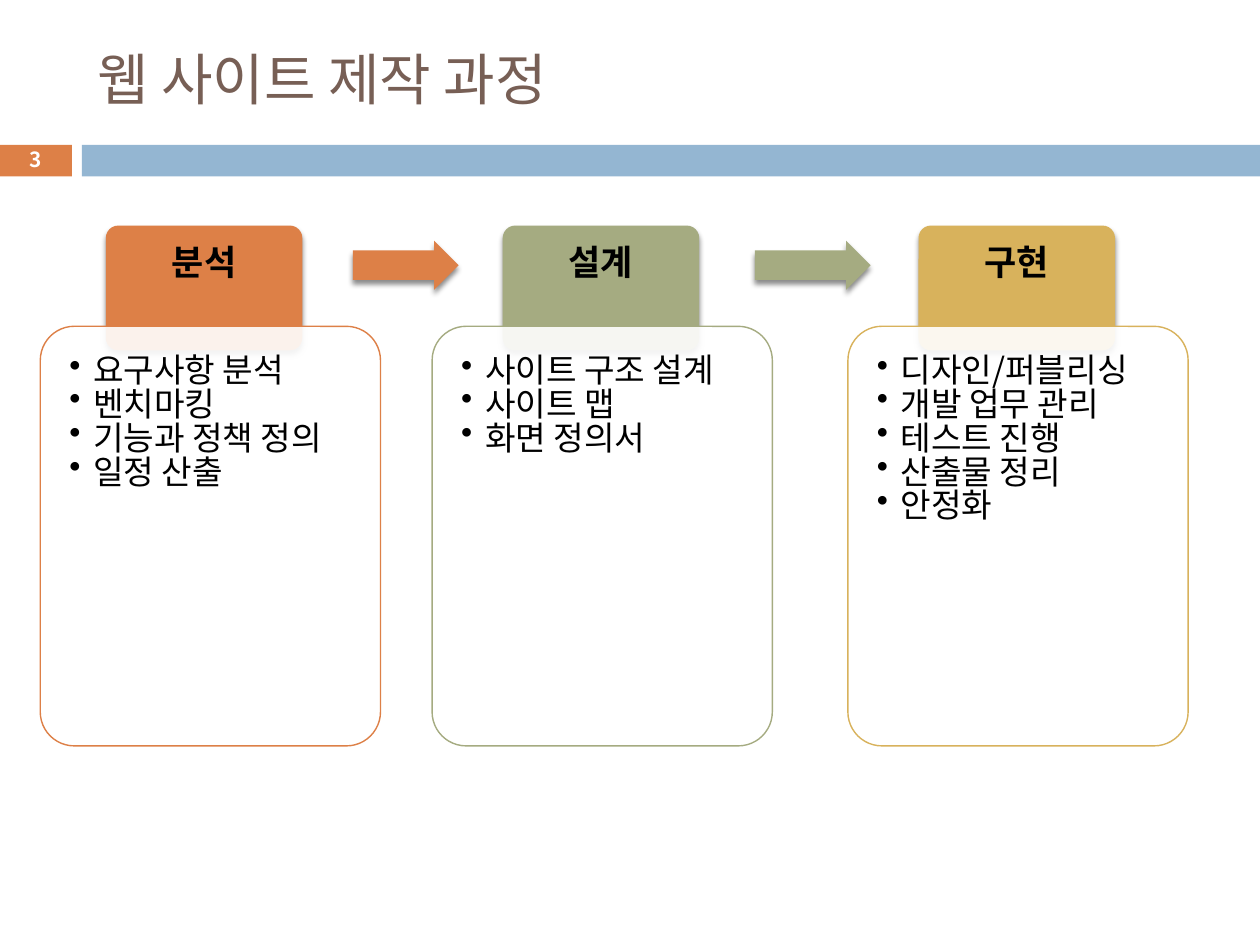
from lxml.etree import SubElement
from pptx import Presentation
from pptx.dml.color import RGBColor
from pptx.enum.shapes import MSO_SHAPE
from pptx.enum.text import MSO_ANCHOR, PP_ALIGN
from pptx.oxml.ns import qn
from pptx.util import Inches, Pt

FONT = "Noto Sans CJK KR"
ORANGE = RGBColor(0xDD, 0x80, 0x47)
GREEN = RGBColor(0xA5, 0xAB, 0x81)
GOLD = RGBColor(0xD8, 0xB2, 0x5C)
BLUE = RGBColor(0x94, 0xB6, 0xD2)
BROWN = RGBColor(0x77, 0x5F, 0x55)
WHITE = RGBColor(0xFF, 0xFF, 0xFF)
BLACK = RGBColor(0, 0, 0)

# Each stage: heading, colour, left edge of its card, tasks
STAGES = [
    ("분석", ORANGE, 0.32, ["요구사항 분석", "벤치마킹", "기능과 정책 정의", "일정 산출"]),
    ("설계", GREEN, 3.43, ["사이트 구조 설계", "사이트 맵", "화면 정의서"]),
    ("구현", GOLD, 6.73, ["디자인/퍼블리싱", "개발 업무 관리", "테스트 진행",
                        "산출물 정리", "안정화"]),
]
# Each arrow: left edge, width, colour
ARROWS = [(2.8, 0.84, ORANGE), (5.99, 0.92, GREEN)]


class SlideBuilder:
    def __init__(self, slide, font):
        self.slide = slide
        self.font = font

    def format_text(self, text_frame, size, color, bold=False, align=PP_ALIGN.LEFT,
                    line_spacing=1.0):
        text_frame.word_wrap = True
        for paragraph in text_frame.paragraphs:
            paragraph.alignment = align
            paragraph.line_spacing = line_spacing
            for run in paragraph.runs:
                run.font.size = Pt(size)
                run.font.bold = bold
                run.font.color.rgb = color
                run.font.name = self.font
                east_asian = SubElement(run._r.get_or_add_rPr(), qn("a:ea"))
                east_asian.set("typeface", self.font)

    def title(self, text, left, top, width, height):
        title = self.slide.shapes.title
        title.left, title.top = Inches(left), Inches(top)
        title.width, title.height = Inches(width), Inches(height)
        title.text_frame.text = text
        title.text_frame.vertical_anchor = MSO_ANCHOR.MIDDLE
        self.format_text(title.text_frame, 32, BROWN)

    def shape(self, kind, left, top, width, height, fill, line=None, shadow=False,
              adjustments=()):
        shape = self.slide.shapes.add_shape(
            kind, Inches(left), Inches(top), Inches(width), Inches(height))
        for index, value in enumerate(adjustments):
            shape.adjustments[index] = value
        shape.fill.solid()
        shape.fill.fore_color.rgb = fill
        if line is None:
            shape.line.fill.background()
        else:
            shape.line.color.rgb = line
            shape.line.width = Pt(0.79)
        shape.shadow.inherit = False
        if shadow:
            self.add_shadow(shape)
        return shape

    def add_shadow(self, shape):
        effects = shape._element.spPr.find(qn("a:effectLst"))
        outer = SubElement(effects, qn("a:outerShdw"), blurRad=str(Pt(3)),
                           dist=str(Pt(2.4)), dir="5400000", rotWithShape="0")
        color = SubElement(outer, qn("a:srgbClr"), val="000000")
        SubElement(color, qn("a:alpha"), val="45000")

    def set_opacity(self, shape, percent):
        color = shape._element.spPr.find(qn("a:solidFill"))[0]
        SubElement(color, qn("a:alpha"), val=str(percent * 1000))

    def text_box(self, lines, left, top, width, height, insets):
        box = self.slide.shapes.add_textbox(
            Inches(left), Inches(top), Inches(width), Inches(height))
        text_frame = box.text_frame
        text_frame.text = "\n".join(lines)
        (text_frame.margin_left, text_frame.margin_top,
         text_frame.margin_right, text_frame.margin_bottom) = map(Inches, insets)
        return text_frame

    def bullets(self, text_frame, indent):
        for paragraph in text_frame.paragraphs:
            properties = paragraph._p.get_or_add_pPr()
            properties.set("marL", str(Inches(indent)))
            properties.set("indent", str(-Inches(indent)))
            SubElement(properties, qn("a:buChar"), char="•")

    def stage(self, heading, color, left, tasks):
        # Coloured tab with its heading
        tab_left = left + 0.56 if left > 0.5 else left + 0.52
        self.shape(MSO_SHAPE.ROUNDED_RECTANGLE, tab_left, 1.79, 1.56, 0.99, color,
                   shadow=True, adjustments=[0.1])
        text_frame = self.text_box([heading], tab_left, 1.79, 1.56, 0.63,
                                   (0.16, 0.16, 0.16, 0.08))
        self.format_text(text_frame, 20, BLACK, True, PP_ALIGN.CENTER, 0.9)

        # Translucent card with the tasks
        card = self.shape(MSO_SHAPE.ROUNDED_RECTANGLE, left, 2.59, 2.7, 3.33, WHITE,
                          line=color, adjustments=[0.1])
        self.set_opacity(card, 90)
        text_frame = self.text_box(tasks, left + 0.08, 2.67, 2.55, 3.17, [0.15] * 4)
        self.format_text(text_frame, 19, BLACK, line_spacing=0.85)
        self.bullets(text_frame, 0.19)

    def arrow(self, left, width, color):
        self.shape(MSO_SHAPE.RIGHT_ARROW, left, 1.91, width, 0.39, color,
                   shadow=True, adjustments=[0.6, 0.5])


def main():
    presentation = Presentation()
    presentation.slide_width, presentation.slide_height = Inches(10), Inches(7.5)
    slide = presentation.slides.add_slide(presentation.slide_layouts[5])
    builder = SlideBuilder(slide, FONT)

    # Header: title, band and page number
    builder.title("웹 사이트 제작 과정", 0.67, 0.25, 8.92, 0.74)
    builder.shape(MSO_SHAPE.RECTANGLE, -0.01, 1.15, 0.58, 0.25, ORANGE)
    builder.shape(MSO_SHAPE.RECTANGLE, 0.65, 1.15, 9.35, 0.25, BLUE)
    number = builder.text_box(["3"], -0.01, 1.13, 0.58, 0.27, [0] * 4)
    number.vertical_anchor = MSO_ANCHOR.MIDDLE
    builder.format_text(number, 11.9, WHITE, True, PP_ALIGN.CENTER)

    # Process stages and the arrows between them
    for stage in STAGES:
        builder.stage(*stage)
    for arrow in ARROWS:
        builder.arrow(*arrow)

    presentation.save("out.pptx")


if __name__ == "__main__":
    main()
